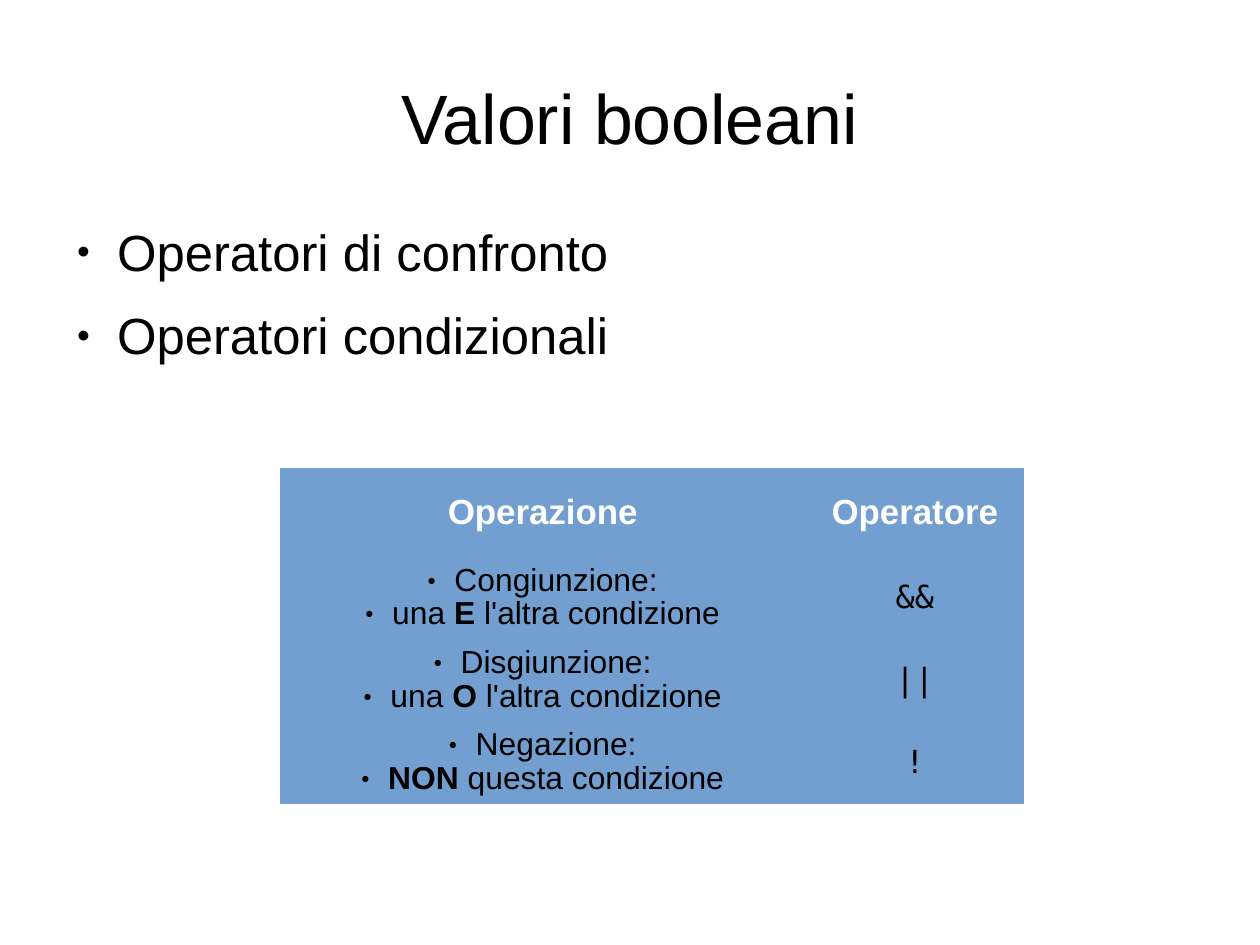
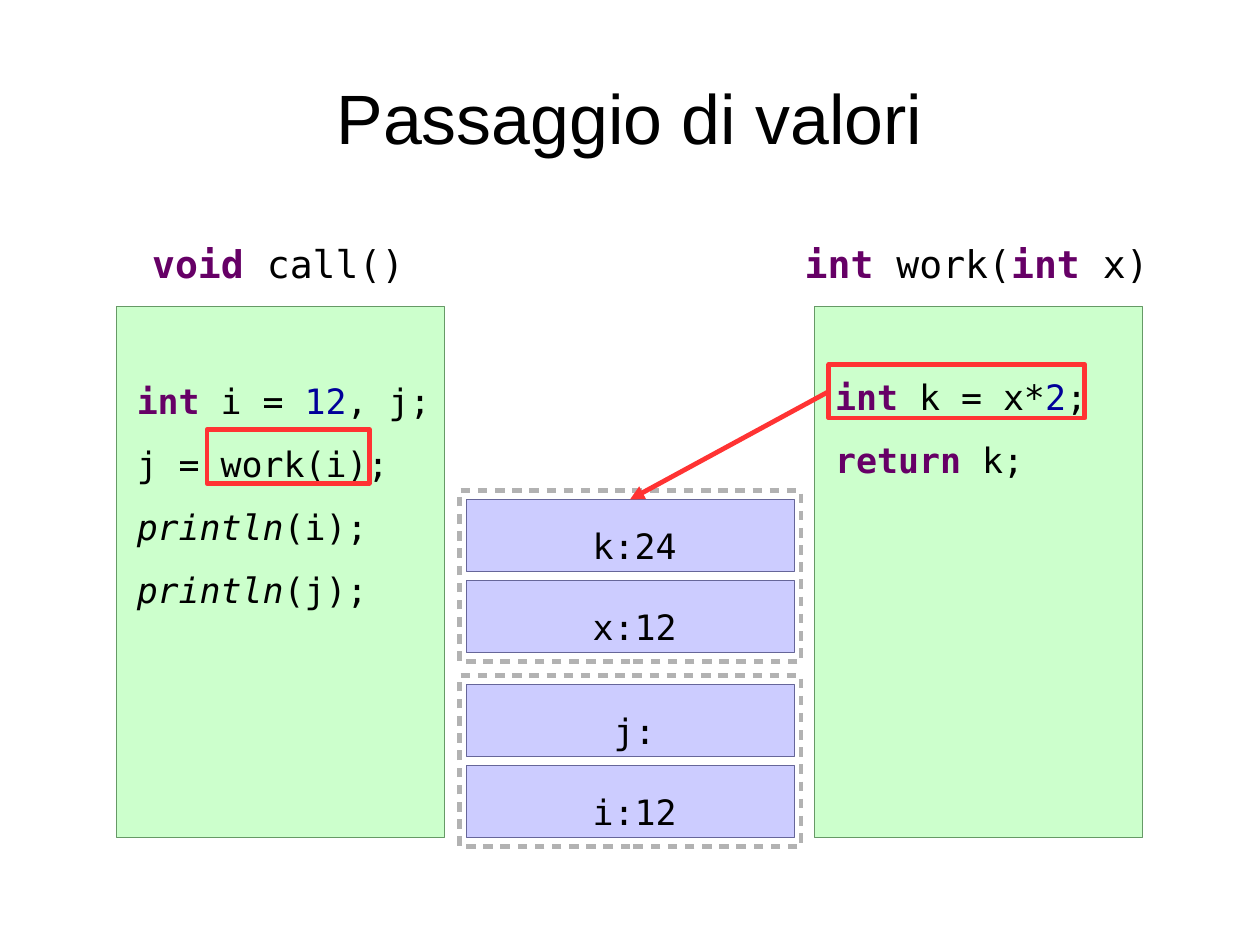
from lxml import etree
from pptx import Presentation
from pptx.dml.color import RGBColor
from pptx.enum.shapes import MSO_CONNECTOR, MSO_SHAPE
from pptx.enum.text import MSO_ANCHOR, MSO_AUTO_SIZE, PP_ALIGN
from pptx.oxml.ns import qn
from pptx.util import Cm, Pt

CENTER, LEFT = PP_ALIGN.CENTER, PP_ALIGN.LEFT
TOP, MIDDLE = MSO_ANCHOR.TOP, MSO_ANCHOR.MIDDLE
RECTANGLE, STRAIGHT = MSO_SHAPE.RECTANGLE, MSO_CONNECTOR.STRAIGHT
NO_AUTOFIT = MSO_AUTO_SIZE.NONE

BLACK = RGBColor(0x00, 0x00, 0x00)
WHITE = RGBColor(0xFF, 0xFF, 0xFF)
TABLE_BLUE = RGBColor(0x72, 0x9F, 0xCF)
CODE_GREEN = RGBColor(0xCC, 0xFF, 0xCC)
CODE_EDGE = RGBColor(0x66, 0x99, 0x66)
VALUE_LILAC = RGBColor(0xCC, 0xCC, 0xFF)
VALUE_EDGE = RGBColor(0x66, 0x66, 0x99)
FRAME_GREY = RGBColor(0xB2, 0xB2, 0xB2)
RED = RGBColor(0xFF, 0x33, 0x33)
PURPLE = RGBColor(0x66, 0x00, 0x66)
NAVY = RGBColor(0x00, 0x00, 0x99)

SANS, MONO = "Arial", "DejaVu Sans Mono"
NO_TABLE_STYLE = "{2D5ABB26-0587-4C30-8999-92F81FD0307C}"

# Style name: colour, bold, italic
STYLES = {
    "plain": (BLACK, False, False),
    "strong": (BLACK, True, False),
    "header": (WHITE, True, False),
    "keyword": (PURPLE, True, False),
    "number": (NAVY, False, False),
    "call": (BLACK, False, True),
}


def write(paragraph, pieces, size, font, align=LEFT, margin=0, hanging=0):
    """Fill a paragraph with (text, style) pieces; a hanging indent adds a bullet."""
    properties = paragraph._p.get_or_add_pPr()
    properties.set("marL", str(Cm(margin)))
    properties.set("indent", str(-Cm(hanging)))
    if hanging:
        color = etree.SubElement(properties, qn("a:buClr"))
        etree.SubElement(color, qn("a:srgbClr"), val=str(BLACK))
        etree.SubElement(properties, qn("a:buSzPct"), val="45000")
        etree.SubElement(properties, qn("a:buFont"), typeface=SANS)
        etree.SubElement(properties, qn("a:buChar"), char="●")
    paragraph.alignment = align
    for text, style in pieces:
        run = paragraph.add_run()
        run.text = text
        run.font.name, run.font.size = font, Pt(size)
        run.font.color.rgb, run.font.bold, run.font.italic = STYLES[style]


def add_box(slide, left, top, width, height, line, line_width, fill=None):
    box = slide.shapes.add_shape(RECTANGLE, Cm(left), Cm(top), Cm(width), Cm(height))
    box.shadow.inherit = False
    if fill is None:
        box.fill.background()
    else:
        box.fill.solid()
        box.fill.fore_color.rgb = fill
    box.line.color.rgb = line
    box.line.width = Pt(line_width)
    return box


presentation = Presentation()
presentation.slide_width, presentation.slide_height = Cm(28), Cm(21)
CONTENT_LAYOUT, TITLE_ONLY = presentation.slide_layouts[1], presentation.slide_layouts[5]

# Titles
slides = []
for layout, title_text in [(CONTENT_LAYOUT, "Valori booleani"), (TITLE_ONLY, "Passaggio di valori")]:
    slide = presentation.slides.add_slide(layout)
    title = slide.shapes.title
    title.left, title.top, title.width, title.height = Cm(1.4), Cm(0.84), Cm(25.2), Cm(3.5)
    frame = title.text_frame
    frame.margin_left = frame.margin_right = frame.margin_top = frame.margin_bottom = 0
    frame.vertical_anchor, frame.auto_size = MIDDLE, NO_AUTOFIT
    write(frame.paragraphs[0], [(title_text, "plain")], 44, SANS, CENTER)
    slides.append(slide)
boolean_slide, passing_slide = slides

# Slide 1: bullets
body = boolean_slide.placeholders[1]
body.left, body.top, body.width, body.height = Cm(1.4), Cm(4.9), Cm(25.2), Cm(12.17)
frame = body.text_frame
frame.margin_left = frame.margin_right = frame.margin_top = frame.margin_bottom = 0
frame.auto_size = NO_AUTOFIT
for index, item in enumerate(["Operatori di confronto", "Operatori condizionali"]):
    paragraph = frame.add_paragraph() if index else frame.paragraphs[0]
    write(paragraph, [(item, "plain")], 32, SANS, margin=1.2, hanging=0.9)
    paragraph.space_before, paragraph.space_after = Pt(0), Pt(14.2)

# Slide 1: operator table
OPERATIONS = [
    ("Congiunzione:", [("una ", "plain"), ("E", "strong"), (" l'altra condizione", "plain")], "&&"),
    ("Disgiunzione:", [("una ", "plain"), ("O", "strong"), (" l'altra condizione", "plain")], "||"),
    ("Negazione:", [("NON", "strong"), (" questa condizione", "plain")], "!"),
]
table_frame = boolean_slide.shapes.add_table(4, 2, Cm(6.22), Cm(10.39), Cm(16.54), Cm(7.47))
table = table_frame.table
table.first_row = table.horz_banding = False
for style_id in table_frame._element.iter(qn("a:tableStyleId")):
    style_id.text = NO_TABLE_STYLE
for column, width in zip(table.columns, [11.68, 4.86]):
    column.width = Cm(width)
for row, height in zip(table.rows, [1.98, 1.83, 1.83, 1.83]):
    row.height = Cm(height)
for cell in table.iter_cells():
    cell.fill.solid()
    cell.fill.fore_color.rgb = TABLE_BLUE
    cell.vertical_anchor = MIDDLE
for column, heading in enumerate(["Operazione", "Operatore"]):
    paragraph = table.cell(0, column).text_frame.paragraphs[0]
    write(paragraph, [(heading, "header")], 22, SANS, CENTER)
for row, (name, meaning, operator) in enumerate(OPERATIONS, start=1):
    frame = table.cell(row, 0).text_frame
    for paragraph, pieces in [(frame.paragraphs[0], [(name, "plain")]),
                              (frame.add_paragraph(), meaning)]:
        write(paragraph, pieces, 20, SANS, CENTER, margin=0.6, hanging=0.6)
        paragraph.line_spacing = 0.95
    write(table.cell(row, 1).text_frame.paragraphs[0], [(operator, "plain")], 20, MONO, CENTER)

# Slide 2: code panels, as left, top margin, lines
CODE_PANELS = [
    (2.59, 1.17, [
        [("int", "keyword"), (" i = ", "plain"), ("12", "number"), (", j;", "plain")],
        [("j = work(i);", "plain")],
        [("println", "call"), ("(i);", "plain")],
        [("println", "call"), ("(j);", "plain")],
    ]),
    (18.11, 1.08, [
        [("int", "keyword"), (" k = x*", "plain"), ("2", "number"), (";", "plain")],
        [("return", "keyword"), (" k;", "plain")],
    ]),
]
for left, top_margin, lines in CODE_PANELS:
    panel = add_box(passing_slide, left, 6.81, 7.29, 11.81, CODE_EDGE, 0, CODE_GREEN)
    frame = panel.text_frame
    frame.word_wrap, frame.vertical_anchor = True, TOP
    frame.margin_top, frame.margin_right = Cm(top_margin), 0
    for index, pieces in enumerate(lines):
        paragraph = frame.add_paragraph() if index else frame.paragraphs[0]
        write(paragraph, pieces, 22, MONO, margin=0.2)
        paragraph.line_spacing = 1.5

# Slide 2: method signatures
SIGNATURES = [
    (2.59, 7.19, [("void", "keyword"), (" call()", "plain")]),
    (17.4, 8.61, [("int", "keyword"), (" work(", "plain"), ("int", "keyword"), (" x)", "plain")]),
]
for left, width, pieces in SIGNATURES:
    signature = passing_slide.shapes.add_textbox(Cm(left), Cm(5.21), Cm(width), Cm(1.32))
    signature.text_frame.word_wrap = True
    write(signature.text_frame.paragraphs[0], pieces, 24, MONO, CENTER)

# Slide 2: stack frames with their values
for top, values in [(15.01, ["j:", "i:12"]), (10.9, ["k:24", "x:12"])]:
    stack_frame = add_box(passing_slide, 10.21, top, 7.59, 3.81, FRAME_GREY, 3)
    dashes = etree.SubElement(stack_frame.line._get_or_add_ln(), qn("a:custDash"))
    etree.SubElement(dashes, qn("a:ds"), d="200000", sp="160000")
    for index, value in enumerate(values):
        slot = add_box(passing_slide, 10.36, top + 0.2 + 1.8 * index, 7.29, 1.6,
                       VALUE_EDGE, 0, VALUE_LILAC)
        slot.text_frame.word_wrap, slot.text_frame.vertical_anchor = True, MIDDLE
        paragraph = slot.text_frame.paragraphs[0]
        write(paragraph, [(value, "plain")], 22, MONO, CENTER, margin=0.2)
        paragraph.line_spacing = 1.5

# Slide 2: highlighted code and arrow
for left, top, width in [(4.6, 9.55, 3.61), (18.42, 8.1, 5.69)]:
    add_box(passing_slide, left, top, width, 1.19, RED, 3)
arrow = passing_slide.shapes.add_connector(STRAIGHT, Cm(18.42), Cm(8.7), Cm(14), Cm(11.1))
arrow.line.color.rgb, arrow.line.width = RED, Pt(3)
etree.SubElement(arrow.line._get_or_add_ln(), qn("a:tailEnd"), type="triangle")
etree.SubElement(arrow._element.spPr, qn("a:effectLst"))

presentation.save("out.pptx")
